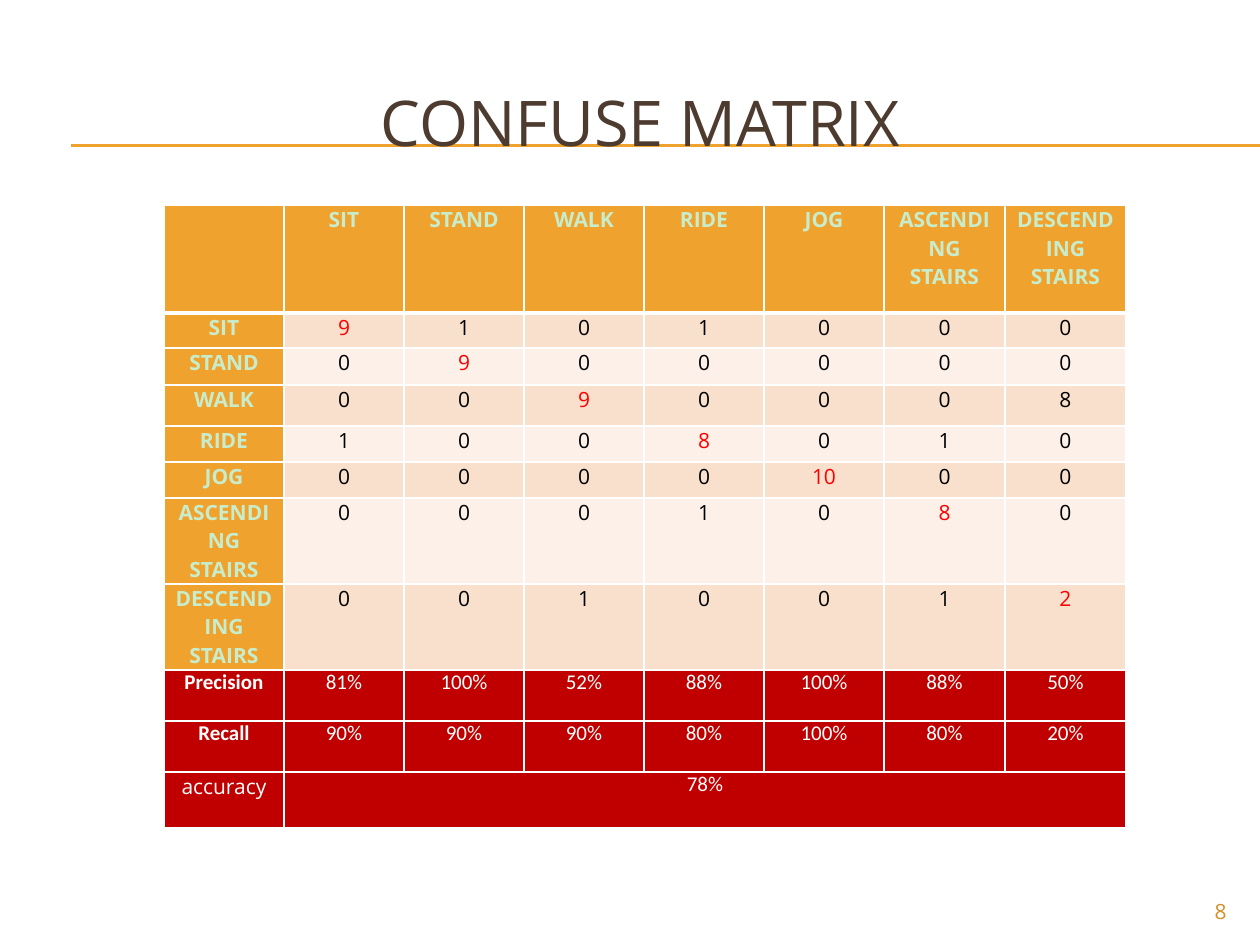
from lxml import etree
from pptx import Presentation
from pptx.dml.color import RGBColor
from pptx.enum.shapes import MSO_CONNECTOR
from pptx.enum.text import MSO_ANCHOR, PP_ALIGN
from pptx.oxml.ns import qn
from pptx.util import Pt

CENTER, RIGHT = PP_ALIGN.CENTER, PP_ALIGN.RIGHT
TOP, MIDDLE = MSO_ANCHOR.TOP, MSO_ANCHOR.MIDDLE
STRAIGHT = MSO_CONNECTOR.STRAIGHT
SANS, CALIBRI = "Open Sans", "Calibri"

COLORS = {
    "white": "FFFFFF", "title": "4E3B30", "orange": "F0A22E", "number": "D48F29",
    "mint": "C7EDCC", "black": "000000", "hit": "FF0000", "red": "C00000",
    "band_dark": "F9E0CD", "band_light": "FCF0E8",
}

TITLE = "CONFUSE MATRIX"
PAGE = "8"
ACTIVITIES = ["SIT", "STAND", "WALK", "RIDE", "JOG", "ASCENDING STAIRS", "DESCENDING STAIRS"]
COUNTS = [
    [9, 1, 0, 1, 0, 0, 0],
    [0, 9, 0, 0, 0, 0, 0],
    [0, 0, 9, 0, 0, 0, 8],
    [1, 0, 0, 8, 0, 1, 0],
    [0, 0, 0, 0, 10, 0, 0],
    [0, 0, 0, 1, 0, 8, 0],
    [0, 0, 1, 0, 0, 1, 2],
]
SCORES = [
    ("Precision", [81, 100, 52, 88, 100, 88, 50]),
    ("Recall", [90, 90, 90, 80, 100, 80, 20]),
]
ACCURACY = ("accuracy", "78%")

COL_WIDTHS = [120] * 6 + [121] * 2
ROW_HEIGHTS = [108, 35, 37, 41, 36, 36, 86, 86, 51, 51, 56]
TABLE_LEFT, TABLE_TOP = 164, 205
RULE_LEFT, RULE_RIGHT, RULE_YS = 71, 1260, (145, 145, 146)
CELL_INSET = 9


def px(n):
    return round(n * 914400 / 126)


def rgb(name):
    return RGBColor.from_string(COLORS[name])


def write(tf, text, size, color, align, font=SANS, bold=False):
    p = tf.paragraphs[0]
    p.alignment = align
    r = p.add_run()
    r.text = text
    r.font.size = Pt(size)
    r.font.name = font
    r.font.bold = bold
    r.font.color.rgb = rgb(color)


def add_text(slide, box, text, size, color, align, anchor):
    tf = slide.shapes.add_textbox(*map(px, box)).text_frame
    tf.word_wrap = True
    tf.vertical_anchor = anchor
    write(tf, text, size, color, align)


def add_rule(slide, y):
    line = slide.shapes.add_connector(STRAIGHT, px(RULE_LEFT), px(y), px(RULE_RIGHT), px(y))
    line.line.color.rgb = rgb("orange")
    line.line.width = Pt(0.75)
    etree.SubElement(line._element.spPr, qn("a:effectLst"))


def set_borders(cell, row):
    tc_pr = cell._tc.get_or_add_tcPr()
    widths = {"L": 1, "R": 1, "T": 3 if row == 1 else 1, "B": 3 if row == 0 else 1}
    for side, width in widths.items():
        ln = etree.SubElement(tc_pr, qn(f"a:ln{side}"), w=str(Pt(width)))
        fill = etree.SubElement(ln, qn("a:solidFill"))
        etree.SubElement(fill, qn("a:srgbClr"), val=COLORS["white"])


def fill_cell(table, row, col, text, fill, color, font=SANS, bold=False):
    cell = table.cell(row, col)
    set_borders(cell, row)
    cell.fill.solid()
    cell.fill.fore_color.rgb = rgb(fill)
    cell.margin_left = cell.margin_right = px(CELL_INSET)
    cell.margin_top = cell.margin_bottom = 0
    if text:
        write(cell.text_frame, text, 12, color, CENTER, font, bold)


def add_matrix(slide):
    frame = slide.shapes.add_table(
        len(ROW_HEIGHTS), len(COL_WIDTHS), px(TABLE_LEFT), px(TABLE_TOP),
        px(sum(COL_WIDTHS)), px(sum(ROW_HEIGHTS)))
    table = frame.table
    for column, width in zip(table.columns, COL_WIDTHS):
        column.width = px(width)
    for table_row, height in zip(table.rows, ROW_HEIGHTS):
        table_row.height = px(height)

    for col, name in enumerate([""] + ACTIVITIES):
        fill_cell(table, 0, col, name, "orange", "mint", bold=True)

    for row, (name, counts) in enumerate(zip(ACTIVITIES, COUNTS), 1):
        band = "band_dark" if row % 2 else "band_light"
        fill_cell(table, row, 0, name, "orange", "mint", bold=True)
        for col, count in enumerate(counts, 1):
            fill_cell(table, row, col, str(count), band, "hit" if row == col else "black")

    for row, (name, scores) in enumerate(SCORES, len(COUNTS) + 1):
        fill_cell(table, row, 0, name, "red", "white", CALIBRI, True)
        for col, score in enumerate(scores, 1):
            fill_cell(table, row, col, f"{score}%", "red", "white", CALIBRI)

    last = len(ROW_HEIGHTS) - 1
    label, value = ACCURACY
    table.cell(last, 1).merge(table.cell(last, len(ACTIVITIES)))
    fill_cell(table, last, 0, label, "red", "white")
    fill_cell(table, last, 1, value, "red", "white", CALIBRI)


def main():
    prs = Presentation()
    prs.slide_width, prs.slide_height = px(1260), px(945)
    slide = prs.slides.add_slide(prs.slide_layouts[6])
    slide.background.fill.solid()
    slide.background.fill.fore_color.rgb = rgb("white")
    for y in RULE_YS:
        add_rule(slide, y)
    add_text(slide, (42, 63, 1197, 116), TITLE, 36, "title", CENTER, MIDDLE)
    add_matrix(slide)
    add_text(slide, (1134, 892, 105, 34), PAGE, 12, "number", RIGHT, TOP)
    prs.save("out.pptx")


if __name__ == "__main__":
    main()
